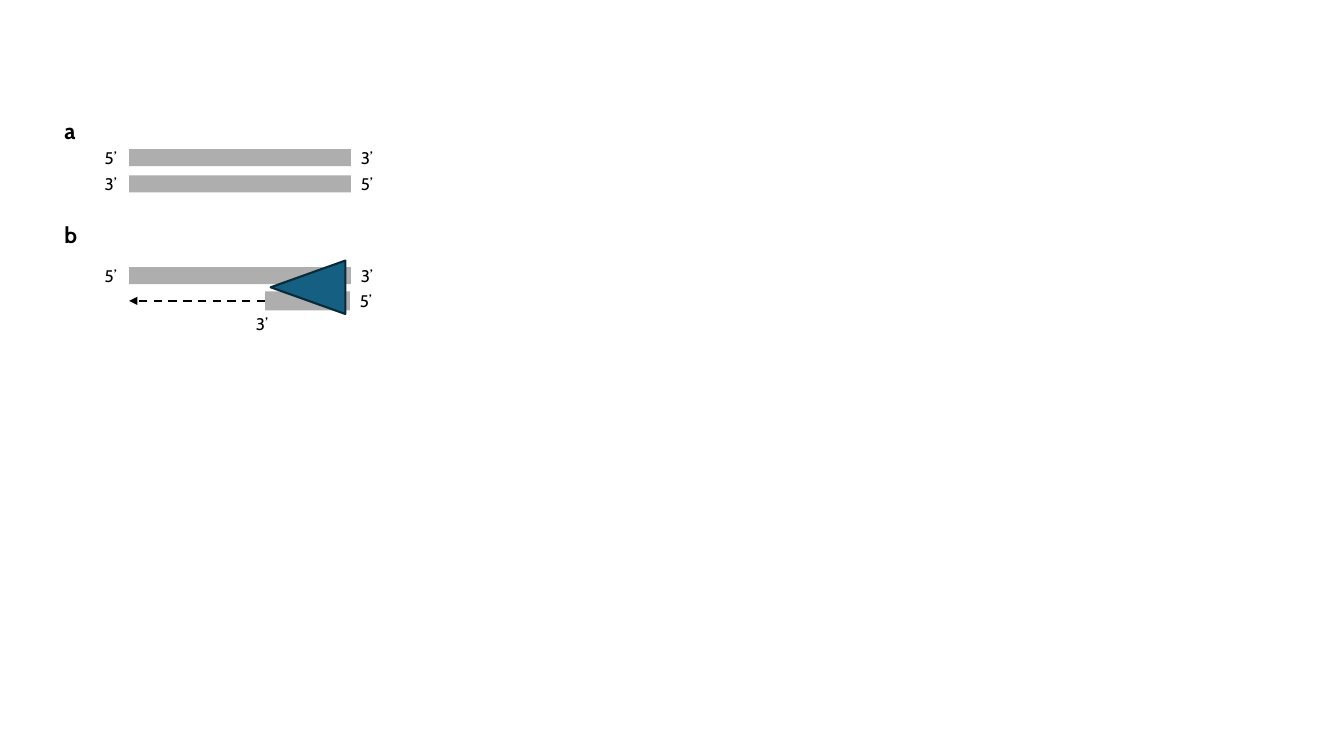
from dataclasses import dataclass

from lxml import etree
from pptx import Presentation
from pptx import util as u
from pptx.dml.color import RGBColor
from pptx.enum import dml, shapes, text
from pptx.oxml.ns import qn


@dataclass(frozen=True)
class Theme:
    font: str = "Cabin"
    ink: RGBColor = RGBColor(0x00, 0x00, 0x00)
    strand: RGBColor = RGBColor(0xAE, 0xAE, 0xAE)
    enzyme: RGBColor = RGBColor(0x15, 0x60, 0x82)
    enzyme_edge: RGBColor = RGBColor(0x09, 0x2A, 0x39)
    label_size: int = 12
    letter_size: int = 16
    line_width: float = 1.5


THEME = Theme()
LABEL_WIDTH, LABEL_HEIGHT = 0.34, 0.3
STRAND_INDENT, STRAND_WIDTH, STRAND_HEIGHT = 0.74, 2.2, 0.17
FIVE, THREE = "5’", "3’"


def add_label(slide, words, left, top, width=LABEL_WIDTH, height=LABEL_HEIGHT,
              size=THEME.label_size, bold=False, wrap=False):
    box = slide.shapes.add_textbox(*map(u.Inches, (left, top, width, height)))
    frame = box.text_frame
    frame.text = words
    frame.word_wrap = wrap
    frame.auto_size = text.MSO_AUTO_SIZE.SHAPE_TO_FIT_TEXT
    font = frame.paragraphs[0].runs[0].font
    font.name, font.size, font.bold = THEME.font, u.Pt(size), bold
    font.color.rgb = THEME.ink


def add_filled(slide, kind, left, top, width, height, color):
    shape = slide.shapes.add_shape(kind, *map(u.Inches, (left, top, width, height)))
    shape.shadow.inherit = False
    shape.fill.solid()
    shape.fill.fore_color.rgb = color
    shape.line.fill.background()
    return shape


def add_strand(slide, left, top, width, height, left_end, right_end):
    """Draw a strand with its end labels centred on the bar's height."""
    bar = add_filled(slide, shapes.MSO_SHAPE.RECTANGLE, left, top, width, height,
                     THEME.strand)
    label_top = top + (height - LABEL_HEIGHT) / 2
    if left_end:
        add_label(slide, left_end, left - LABEL_WIDTH, label_top)
    add_label(slide, right_end, left + width, label_top)
    return bar


def add_synthesis_arrow(slide, primer, end_left):
    """Draw the dashed arrow from the primer's left side."""
    middle = primer.top + primer.height // 2
    arrow = slide.shapes.add_connector(shapes.MSO_CONNECTOR.STRAIGHT, primer.left,
                                       middle, u.Inches(end_left), middle)
    arrow.begin_connect(primer, 1)
    arrow.line.color.rgb = THEME.ink
    arrow.line.width = u.Pt(THEME.line_width)
    arrow.line.dash_style = dml.MSO_LINE.DASH
    etree.SubElement(arrow.line._get_or_add_ln(), qn("a:tailEnd"), type="triangle")
    etree.SubElement(arrow._element.spPr, qn("a:effectLst"))


def add_letter(slide, letter, left, top):
    add_label(slide, letter, left, top, 0.33, 0.37, THEME.letter_size, bold=True)


def add_duplex_panel(slide, left, top):
    """Panel a: two full antiparallel strands."""
    add_letter(slide, "a", left, top)
    for row, ends in enumerate([(FIVE, THREE), (THREE, FIVE)]):
        add_strand(slide, left + STRAND_INDENT, top + 0.37 + row * 0.26,
                   STRAND_WIDTH, STRAND_HEIGHT, *ends)


def add_extension_panel(slide, left, top):
    """Panel b: an enzyme extending a short strand along the template."""
    add_letter(slide, "b", left, top)
    strand_left = left + STRAND_INDENT
    primer_left, primer_width = strand_left + 1.35, 0.84

    # Template and short strand
    add_strand(slide, strand_left, top + 0.51, STRAND_WIDTH, STRAND_HEIGHT, FIVE, THREE)
    primer = add_strand(slide, primer_left, top + 0.75, primer_width, 0.19, None, FIVE)
    add_label(slide, THREE, primer_left - 0.19, top + 0.92, wrap=True)

    # Enzyme pointing left
    enzyme = add_filled(slide, shapes.MSO_SHAPE.ISOSCELES_TRIANGLE,
                        primer_left + 0.16, top + 0.34, 0.53, 0.74, THEME.enzyme)
    enzyme.rotation = 270
    enzyme.line.color.rgb = THEME.enzyme_edge
    enzyme.line.width = u.Pt(THEME.line_width)

    # Direction of synthesis
    add_synthesis_arrow(slide, primer, strand_left)


def main():
    presentation = Presentation()
    presentation.slide_width = u.Inches(13.33)
    presentation.slide_height = u.Inches(7.5)
    slide = presentation.slides.add_slide(presentation.slide_layouts[6])
    add_duplex_panel(slide, 0.54, 1.11)
    add_extension_panel(slide, 0.54, 2.14)
    presentation.save("out.pptx")


if __name__ == "__main__":
    main()
